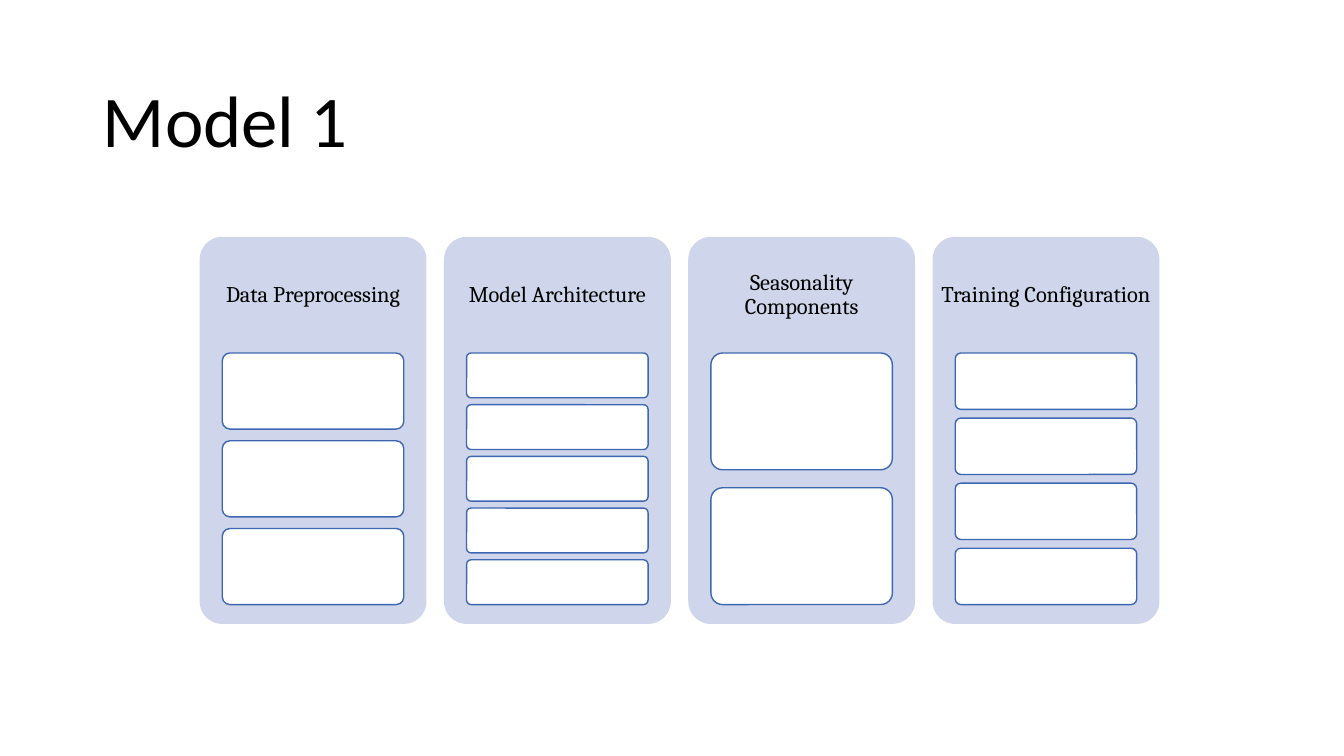
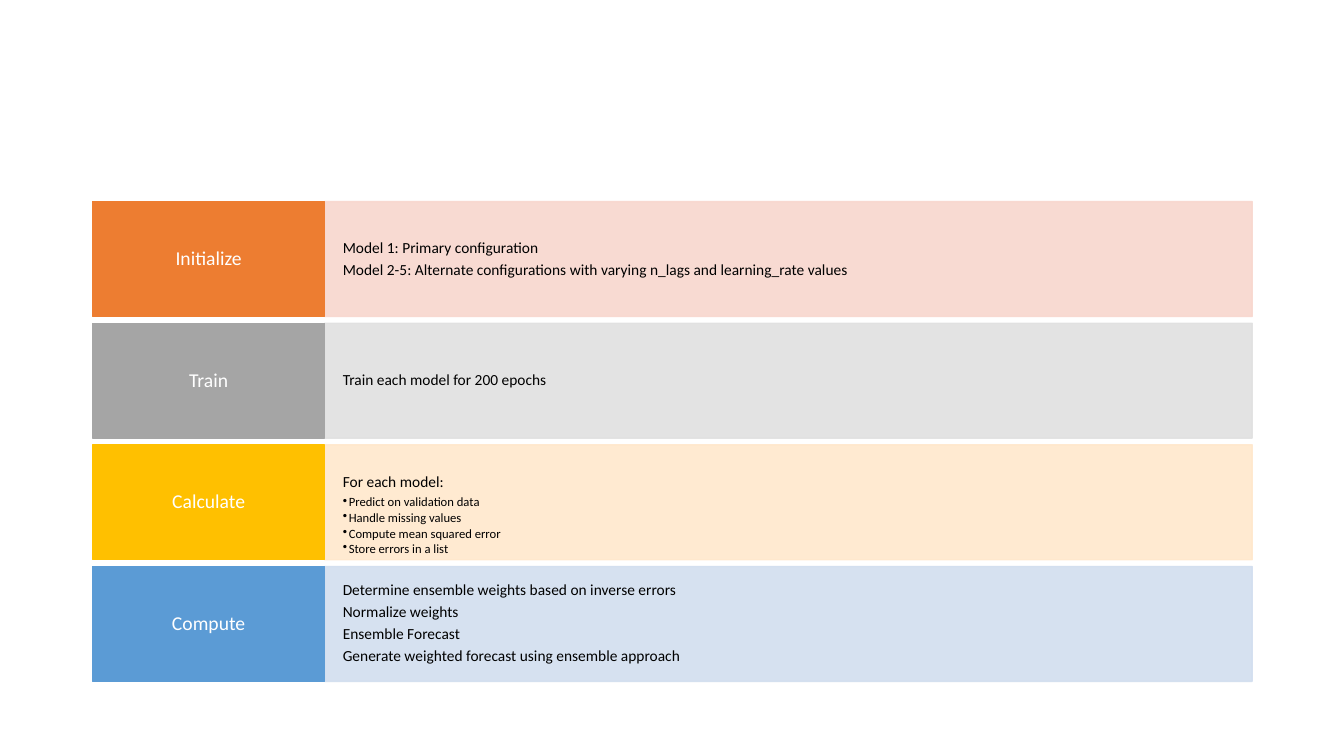
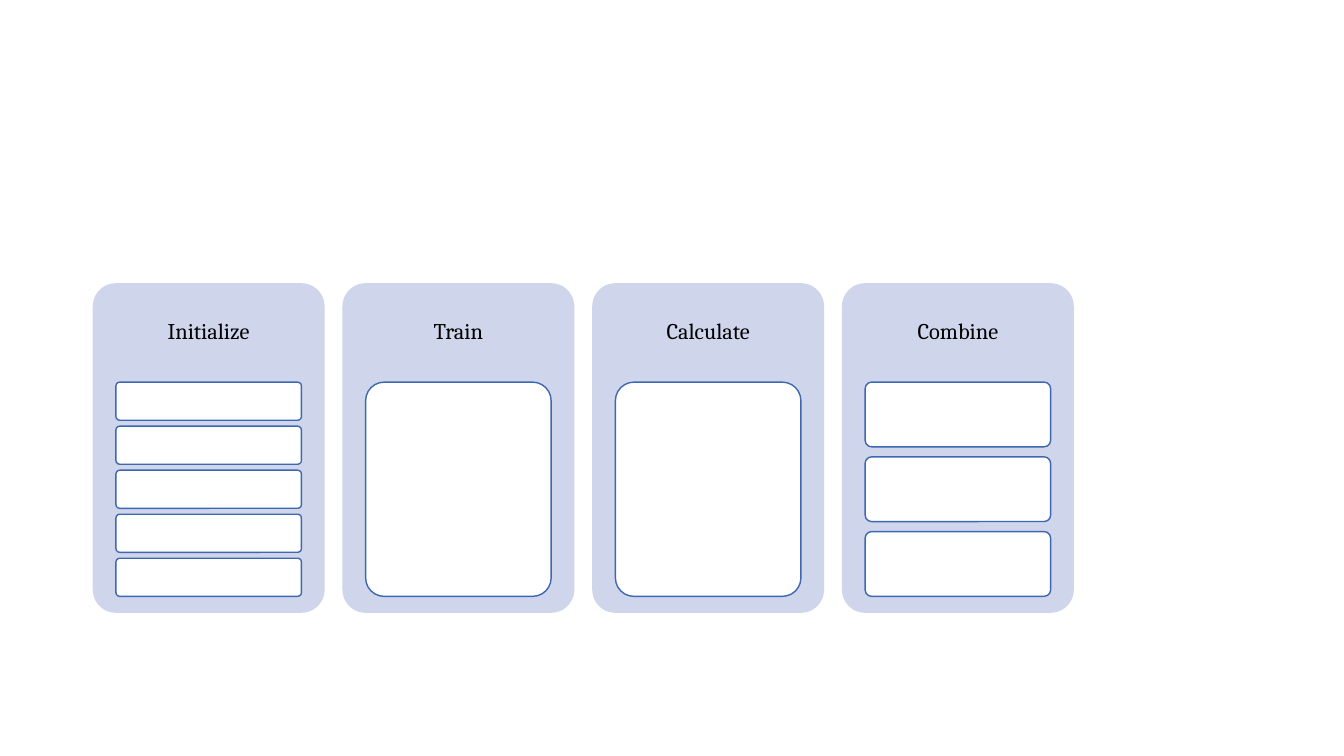
from pptx import Presentation
from pptx.dml.color import RGBColor
from pptx.enum.shapes import MSO_SHAPE
from pptx.enum.text import MSO_ANCHOR, MSO_AUTO_SIZE, PP_ALIGN
from pptx.oxml.ns import qn
from pptx.util import Inches, Pt
from lxml import etree

COLORS = {
    "text": "000000", "white": "FFFFFF", "column": "CFD5EA", "outline": "3E67B2",
    "orange": "ED7D31", "orange_tint": "F8D7CE", "gray": "A5A5A5", "gray_tint": "E1E1E1",
    "gold": "FFC000", "gold_tint": "FFE8CC", "blue": "5B9BD5", "blue_tint": "D2DEEF",
}
TITLE_ONLY, BLANK = 5, 6


def add_box(slide, kind, left, top, width, height, fill, line=None):
    shape = slide.shapes.add_shape(kind, Inches(left), Inches(top), Inches(width), Inches(height))
    shape.shadow.inherit = False
    shape.fill.solid()
    shape.fill.fore_color.rgb = RGBColor.from_string(COLORS[fill])
    if line:
        shape.line.color.rgb = RGBColor.from_string(COLORS[line])
        shape.line.width = Pt(1)
    else:
        shape.line.fill.background()
    if kind == MSO_SHAPE.ROUNDED_RECTANGLE:
        shape.adjustments[0] = 0.1
    return shape


def write_text(shape, lines, font, size, color, align, margins, space=0.35):
    frame = shape.text_frame
    frame.word_wrap = True
    frame.auto_size = MSO_AUTO_SIZE.NONE
    frame.vertical_anchor = MSO_ANCHOR.MIDDLE
    frame.margin_left = frame.margin_right = Inches(margins[0])
    frame.margin_top = frame.margin_bottom = Inches(margins[1])
    frame.text = "\n".join(lines)
    for paragraph in frame.paragraphs:
        paragraph.alignment = align
        paragraph.line_spacing = 0.9
        paragraph.space_after = Pt(size * space)
        paragraph.font.name = font
        paragraph.font.size = Pt(size)
        paragraph.font.color.rgb = RGBColor.from_string(COLORS[color])
    return frame


presentation = Presentation()
presentation.slide_width, presentation.slide_height = Inches(13.33), Inches(7.5)
model_slide, steps_slide, ensemble_slide = [
    presentation.slides.add_slide(presentation.slide_layouts[layout])
    for layout in (TITLE_ONLY, BLANK, BLANK)
]

# Title of the first slide
title = model_slide.shapes.title
title.left, title.top, title.width, title.height = map(Inches, (0.92, 0.61, 11.5, 1.24))
write_text(title, ["Model 1"], "Calibri", 52, "text", PP_ALIGN.LEFT, (0.1, 0.05), 0)

# Columns with a heading and a stack of empty boxes (heading, number of boxes)
column_groups = [
    (model_slide, 1.98, 2.35, 2.25, 3.84,
     [("Data Preprocessing", 3), ("Model Architecture", 5),
      ("Seasonality Components", 2), ("Training Configuration", 4)]),
    (ensemble_slide, 0.92, 2.81, 2.3, 3.27,
     [("Initialize", 5), ("Train", 1), ("Calculate", 1), ("Combine", 3)]),
]
column_gap, box_gap = 1 / 13, 2 / 13  # shares of column width and box height
for slide, first_left, top, width, height, columns in column_groups:
    heading_height, stack_height = 0.3 * height, 0.65 * height
    for index, (heading, count) in enumerate(columns):
        left = first_left + index * width * (1 + column_gap)
        add_box(slide, MSO_SHAPE.ROUNDED_RECTANGLE, left, top, width, height, "column")
        heading_box = slide.shapes.add_textbox(
            Inches(left), Inches(top), Inches(width), Inches(heading_height))
        write_text(heading_box, [heading], "Cambria", 16, "text", PP_ALIGN.CENTER, (0.07, 0.07))
        box_height = stack_height / (count + (count - 1) * box_gap)
        for row in range(count):
            box_top = top + heading_height + row * box_height * (1 + box_gap)
            add_box(slide, MSO_SHAPE.ROUNDED_RECTANGLE, left + 0.1 * width, box_top,
                    0.8 * width, box_height, "white", "outline")

# Step rows: label, colour, lines, bulleted lines
steps = [
    ("Initialize", "orange",
     ["Model 1: Primary configuration",
      "Model 2-5: Alternate configurations with varying n_lags and learning_rate values"], []),
    ("Train", "gray", ["Train each model for 200 epochs"], []),
    ("Calculate", "gold", ["For each model:"],
     ["Predict on validation data", "Handle missing values",
      "Compute mean squared error", "Store errors in a list"]),
    ("Compute", "blue",
     ["Determine ensemble weights based on inverse errors", "Normalize weights",
      "Ensemble Forecast", "Generate weighted forecast using ensemble approach"], []),
]
rows_top, rows_bottom, row_height = 2, 6.76, 1.14
row_pitch = (rows_bottom - rows_top - row_height) / (len(steps) - 1)
for index, (label, color, lines, bullets) in enumerate(steps):
    top = rows_top + index * row_pitch
    tint = color + "_tint"
    panel = add_box(steps_slide, MSO_SHAPE.RECTANGLE, 3.22, top, 9.2, row_height, tint, tint)
    for panel_color in panel._element.spPr.iter(qn("a:srgbClr")):
        etree.SubElement(panel_color, qn("a:alpha"), val="90000")
    frame = write_text(panel, lines + bullets, "Calibri", 11, "text", PP_ALIGN.LEFT, (0.18, 0.29))
    if bullets:
        frame.vertical_anchor = MSO_ANCHOR.TOP
    for paragraph in frame.paragraphs[len(lines):]:
        paragraph.level = 1
        paragraph.font.size = Pt(9)
        paragraph.space_after = Pt(9 * 0.15)
        properties = paragraph._p.get_or_add_pPr()
        properties.set("marL", str(Inches(0.06)))
        properties.set("indent", str(-Inches(0.06)))
        bullet = etree.Element(qn("a:buChar"), char="•")
        properties.find(qn("a:defRPr")).addprevious(bullet)
    label_box = add_box(steps_slide, MSO_SHAPE.RECTANGLE, 0.92, top, 2.3, row_height, color, color)
    write_text(label_box, [label], "Calibri", 14, "white", PP_ALIGN.CENTER, (0.12, 0.11))

presentation.save("out.pptx")
